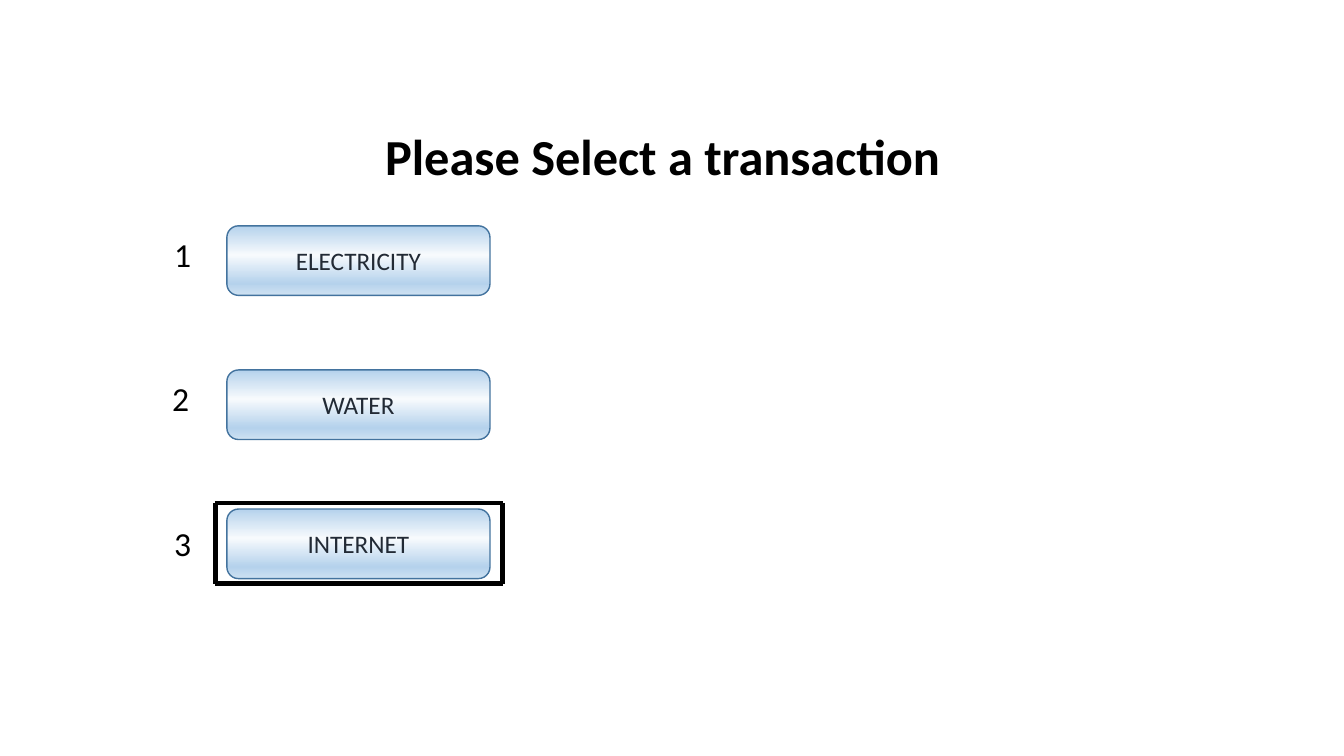
"""Build a payment menu slide with three numbered buttons, the last one framed."""
from dataclasses import dataclass

import lxml.etree
import pptx
import pptx.dml.color
import pptx.enum.shapes
import pptx.enum.text
import pptx.oxml
import pptx.oxml.ns
import pptx.shapes.autoshape
import pptx.slide
import pptx.text.text
import pptx.util

Inches = pptx.util.Inches
RGBColor = pptx.dml.color.RGBColor

BLACK = RGBColor(0x00, 0x00, 0x00)
LABEL_INK = RGBColor(0x22, 0x2A, 0x35)
BUTTON_EDGE = RGBColor(0x43, 0x73, 0x9E)
SKY = RGBColor(0xB5, 0xD2, 0xEC)
GLOSS = RGBColor(0xF7, 0xFA, 0xFD)
PALE_SKY = RGBColor(0xCE, 0xE1, 0xF2)
BUTTON_SHEEN = [(0, SKY), (42, GLOSS), (83, SKY), (100, PALE_SKY)]

FONT = "Calibri"
BUTTON_LEFT, BUTTON_WIDTH, BUTTON_HEIGHT = 2.25, 2.61, 0.69
FRAME_LEFT, FRAME_TOP, FRAME_RIGHT, FRAME_BOTTOM = 2.13, 4.99, 4.99, 5.79


@dataclass(frozen=True)
class Transaction:
    number: str
    label: str
    button_top: float
    number_left: float
    number_top: float


TRANSACTIONS = [
    Transaction("1", "ELECTRICITY", 2.24, 1.63, 2.27),
    Transaction("2", "WATER", 3.67, 1.61, 3.7),
    Transaction("3", "INTERNET", 5.05, 1.63, 5.14),
]


def write(frame: pptx.text.text.TextFrame, text: str, size: float,
          color: RGBColor, bold: bool = False) -> None:
    frame.text = text
    font = frame.paragraphs[0].runs[0].font
    font.name = FONT
    font.size = pptx.util.Pt(size)
    font.bold = bold
    font.color.rgb = color


def apply_sheen(button: pptx.shapes.autoshape.Shape) -> None:
    button.fill.gradient()
    qn = pptx.oxml.ns.qn
    gradient = button.element.spPr.find(qn("a:gradFill"))
    stops = gradient.find(qn("a:gsLst"))
    for stop in list(stops):
        stops.remove(stop)
    for percent, color in BUTTON_SHEEN:
        stop = lxml.etree.SubElement(stops, qn("a:gs"), pos=str(percent * 1000))
        lxml.etree.SubElement(stop, qn("a:srgbClr"), val=str(color))
    button.fill.gradient_angle = 270


def add_button(slide: pptx.slide.Slide, transaction: Transaction) -> None:
    button = slide.shapes.add_shape(
        pptx.enum.shapes.MSO_SHAPE.ROUNDED_RECTANGLE,
        Inches(BUTTON_LEFT), Inches(transaction.button_top),
        Inches(BUTTON_WIDTH), Inches(BUTTON_HEIGHT))
    button.shadow.inherit = False
    apply_sheen(button)
    button.line.color.rgb = BUTTON_EDGE
    button.line.width = pptx.util.Pt(1)
    write(button.text_frame, transaction.label, 18, LABEL_INK)
    button.text_frame.vertical_anchor = pptx.enum.text.MSO_ANCHOR.MIDDLE
    button.text_frame.paragraphs[0].alignment = pptx.enum.text.PP_ALIGN.CENTER


def add_number(slide: pptx.slide.Slide, transaction: Transaction) -> None:
    number = slide.shapes.add_textbox(
        Inches(transaction.number_left), Inches(transaction.number_top),
        Inches(0.37), Inches(0.5))
    write(number.text_frame, transaction.number, 24, BLACK)
    number.text_frame.word_wrap = False
    number.text_frame.auto_size = pptx.enum.text.MSO_AUTO_SIZE.SHAPE_TO_FIT_TEXT


def add_title(slide: pptx.slide.Slide) -> None:
    title = slide.shapes.add_textbox(
        Inches(3.38), Inches(1.19), Inches(6.06), Inches(0.71))
    write(title.text_frame, "Please Select a transaction", 36, BLACK, bold=True)
    title.text_frame.word_wrap = True
    title.text_frame.margin_left = Inches(0.44)
    title.text_frame.auto_size = pptx.enum.text.MSO_AUTO_SIZE.SHAPE_TO_FIT_TEXT


def add_frame_side(slide: pptx.slide.Slide, x1: float, y1: float,
                   x2: float, y2: float) -> None:
    side = slide.shapes.add_connector(
        pptx.enum.shapes.MSO_CONNECTOR.STRAIGHT,
        Inches(x1), Inches(y1), Inches(x2), Inches(y2))
    side.line.color.rgb = BLACK
    side.line.width = pptx.util.Pt(3.5)
    lxml.etree.SubElement(side.element.spPr, pptx.oxml.ns.qn("a:effectLst"))


def main() -> None:
    deck = pptx.Presentation()
    deck.slide_width, deck.slide_height = Inches(13.33), Inches(7.5)
    slide = deck.slides.add_slide(deck.slide_layouts[6])
    for transaction in TRANSACTIONS:
        add_button(slide, transaction)
    add_title(slide)
    for y in (FRAME_TOP, FRAME_BOTTOM):
        add_frame_side(slide, FRAME_LEFT, y, FRAME_RIGHT, y)
    for x in (FRAME_LEFT + 0.01, FRAME_RIGHT - 0.01):
        add_frame_side(slide, x, FRAME_TOP, x, FRAME_BOTTOM)
    for transaction in TRANSACTIONS:
        add_number(slide, transaction)
    deck.save("out.pptx")


if __name__ == "__main__":
    main()
